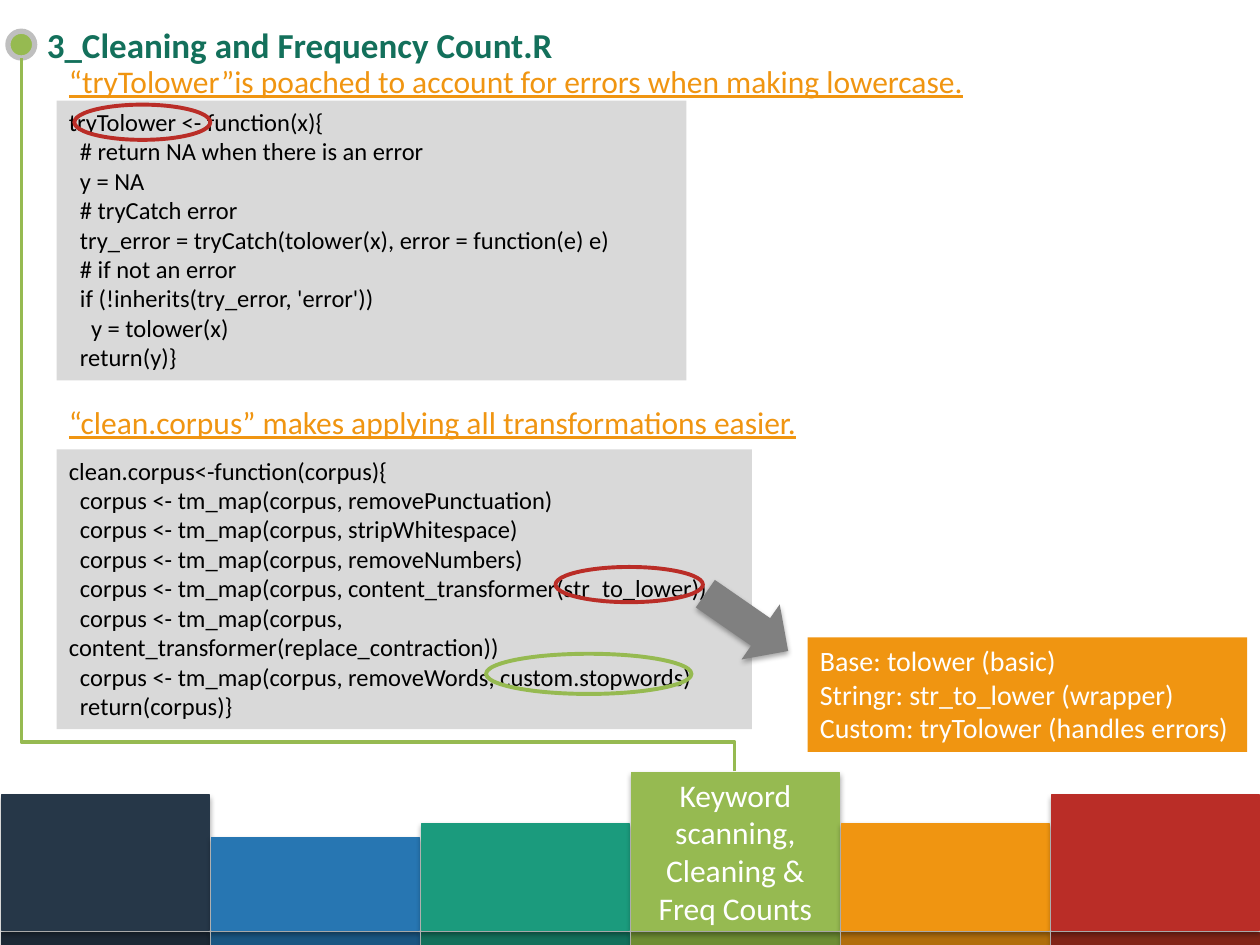
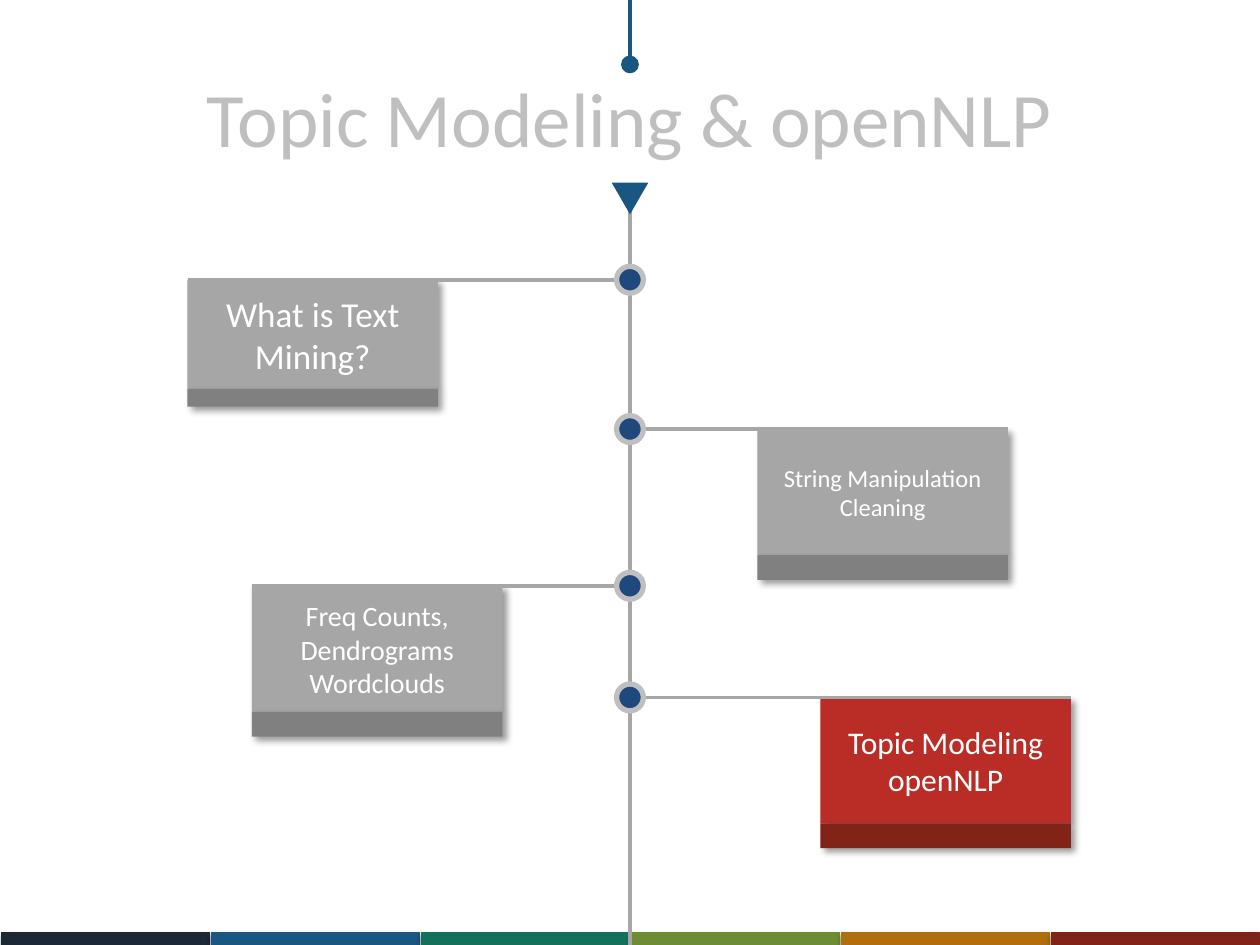
from dataclasses import dataclass

from lxml.etree import SubElement
from pptx import Presentation
from pptx.dml.color import RGBColor
from pptx.enum.shapes import MSO_CONNECTOR, MSO_SHAPE
from pptx.enum.text import MSO_ANCHOR, MSO_AUTO_SIZE, PP_ALIGN
from pptx.oxml.ns import qn
from pptx.util import Cm, Pt


@dataclass(frozen=True)
class Theme:
    font: str = "Calibri"
    white: str = "FFFFFF"
    black: str = "000000"
    code_fill: str = "D9D9D9"
    silver: str = "BFBFBF"
    grey: str = "A6A6A6"
    dark_grey: str = "808080"
    blue: str = "1A5682"
    node: str = "1F497D"
    teal: str = "13705B"
    green: str = "96BA51"
    orange: str = "F09511"
    red: str = "BA2D27"
    dark_red: str = "812417"
    bands: tuple = ("1C2835", "1A5682", "13705B", "6E8D33", "B16E0C", "812417")
    blocks: tuple = ("263748", "2776B2", "1B9B7D", "96BA51", "F09511", "BA2D27")
    code_size: int = 14
    note_size: int = 16
    text_size: int = 18
    heading_size: int = 20
    title_size: int = 44
    line: float = 2
    ring: float = 3
    mark: float = 2.25


THEME = Theme()
SLIDE_WIDTH, SLIDE_HEIGHT = 25.4, 19.05
COLUMN_STEP = SLIDE_WIDTH / 6
COLUMN_WIDTH = 4.19
BAND_TOP = 18.8
CENTRE = SLIDE_WIDTH / 2
# Shadows: opacity in percent, blur and distance in points, angle in degrees
BLOCK_SHADOW = (35, 3.1, 1.8, 90)
CARD_SHADOW = (40, 4, 3, 45)

TRY_TOLOWER = """tryTolower <- function(x){
  # return NA when there is an error
  y = NA
  # tryCatch error
  try_error = tryCatch(tolower(x), error = function(e) e)
  # if not an error
  if (!inherits(try_error, 'error'))
    y = tolower(x)
  return(y)}"""

CLEAN_CORPUS = """clean.corpus<-function(corpus){
  corpus <- tm_map(corpus, removePunctuation)
  corpus <- tm_map(corpus, stripWhitespace)
  corpus <- tm_map(corpus, removeNumbers)
  corpus <- tm_map(corpus, content_transformer(str_to_lower))
  corpus <- tm_map(corpus, content_transformer(replace_contraction))
  corpus <- tm_map(corpus, removeWords, custom.stopwords)
  return(corpus)}"""

LOWERCASE_OPTIONS = """Base: tolower (basic)
Stringr: str_to_lower (wrapper)
Custom: tryTolower (handles errors)"""


def rgb(colour):
    return RGBColor.from_string(colour)


def write(shape, text, size, colour, align=PP_ALIGN.LEFT, anchor=MSO_ANCHOR.MIDDLE,
          wrap=True, bold=False, underline=False):
    text_frame = shape.text_frame
    text_frame.text = text
    text_frame.word_wrap = wrap
    text_frame.vertical_anchor = anchor
    for paragraph in text_frame.paragraphs:
        paragraph.alignment = align
        for run in paragraph.runs:
            run.font.name = THEME.font
            run.font.size = Pt(size)
            run.font.bold = bold
            run.font.underline = underline
            run.font.color.rgb = rgb(colour)


def add_shadow(shape, opacity, blur, distance, angle):
    effects = shape._element.spPr.find(qn("a:effectLst"))
    outer = SubElement(effects, qn("a:outerShdw"), blurRad=str(Pt(blur)),
                       dist=str(Pt(distance)), dir=str(angle * 60000), rotWithShape="0")
    colour = SubElement(outer, qn("a:srgbClr"), val=THEME.black)
    SubElement(colour, qn("a:alpha"), val=str(opacity * 1000))


def add_figure(slide, kind, left, top, width, height, fill=None, line=None,
               line_width=0.75, shadow=None):
    shape = slide.shapes.add_shape(kind, Cm(left), Cm(top), Cm(width), Cm(height))
    if fill:
        shape.fill.solid()
        shape.fill.fore_color.rgb = rgb(fill)
    else:
        shape.fill.background()
    if line:
        shape.line.color.rgb = rgb(line)
        shape.line.width = Pt(line_width)
    else:
        shape.line.fill.background()
    shape.shadow.inherit = False
    if shadow:
        add_shadow(shape, *shadow)
    return shape


def add_line(slide, start, end, colour, kind=MSO_CONNECTOR.STRAIGHT):
    connector = slide.shapes.add_connector(kind, *(Cm(value) for value in start + end))
    connector.line.color.rgb = rgb(colour)
    connector.line.width = Pt(THEME.line)
    SubElement(connector._element.spPr, qn("a:effectLst"))
    return connector


def add_block(slide, column, top, bottom, colour):
    return add_figure(slide, MSO_SHAPE.RECTANGLE, 0.03 + column * COLUMN_STEP, top,
                      COLUMN_WIDTH, bottom - top, colour, colour, shadow=BLOCK_SHADOW)


def add_node(slide, x, y, fill):
    add_figure(slide, MSO_SHAPE.OVAL, x - 0.27, y - 0.27, 0.54, 0.54, fill,
               THEME.silver, THEME.ring)


def add_panel(slide, left, top, width, height, text, size, colour, fill, wrap=True):
    panel = add_figure(slide, MSO_SHAPE.RECTANGLE, left, top, width, height, fill)
    write(panel, text, size, colour, anchor=MSO_ANCHOR.TOP, wrap=wrap)
    panel.text_frame.auto_size = MSO_AUTO_SIZE.SHAPE_TO_FIT_TEXT


def add_caption(slide, left, top, width, text):
    caption = slide.shapes.add_textbox(Cm(left), Cm(top), Cm(width), Cm(1.02))
    write(caption, text, THEME.text_size, THEME.orange, anchor=MSO_ANCHOR.TOP,
          wrap=False, underline=True)
    caption.text_frame.auto_size = MSO_AUTO_SIZE.SHAPE_TO_FIT_TEXT


def add_mark(slide, left, top, width, height, colour):
    add_figure(slide, MSO_SHAPE.OVAL, left, top, width, height,
               line=colour, line_width=THEME.mark)


def add_card(slide, left, top, height, foot, text, size, fill, foot_fill):
    width = 5.05
    body = add_figure(slide, MSO_SHAPE.RECTANGLE, left, top, width, height, fill,
                      shadow=CARD_SHADOW)
    write(body, text, size, THEME.white, PP_ALIGN.CENTER)
    add_figure(slide, MSO_SHAPE.RECTANGLE, left, top + height, width, foot, foot_fill,
               shadow=CARD_SHADOW)
    outer_edge = left if left < CENTRE else left + width
    add_line(slide, (outer_edge, top), (CENTRE, top), THEME.grey)


def add_title_slide(presentation, text, left, top, width, height, size, colour, **style):
    slide = presentation.slides.add_slide(presentation.slide_layouts[5])
    title = slide.shapes.title
    title.left, title.top, title.width, title.height = map(Cm, (left, top, width, height))
    write(title, text, size, colour, **style)
    # Coloured band along the foot
    for column, band in enumerate(THEME.bands):
        add_block(slide, column, BAND_TOP, SLIDE_HEIGHT, band)
    return slide


def build_cleaning(presentation):
    slide = add_title_slide(presentation, "3_Cleaning and Frequency Count.R",
                            0.69, 0.28, 24.03, 1.24, THEME.heading_size, THEME.teal,
                            bold=True)
    # Progress blocks, the current one labelled
    tops = (16.03, 16.89, 16.61, 15.57, 16.61, 16.03)
    blocks = [add_block(slide, column, top, 18.75, colour)
              for column, (top, colour) in enumerate(zip(tops, THEME.blocks))]
    write(blocks[3], "Keyword scanning, Cleaning & Freq Counts", THEME.text_size,
          THEME.white, PP_ALIGN.CENTER)

    # Elbow from the current block up to the title: a square turned by 270 degrees
    add_node(slide, 0.43, 0.9, THEME.green)
    left, top, side = 0.43, 1.17, 14.38
    elbow = add_line(slide, (left, top + side), (left + side, top), THEME.green,
                     MSO_CONNECTOR.ELBOW)
    properties = elbow._element.spPr
    properties.find(qn("a:xfrm")).set("rot", str(270 * 60000))
    adjustments = properties.find(qn("a:prstGeom")).find(qn("a:avLst"))
    SubElement(adjustments, qn("a:gd"), name="adj1", fmla="val 4100")

    # Code listings with captions
    add_panel(slide, 1.14, 2.03, 12.7, 5.64, TRY_TOLOWER, THEME.code_size,
              THEME.black, THEME.code_fill)
    add_caption(slide, 1.14, 1.12, 20.12,
                "“tryTolower”is poached to account for errors when making lowercase.")
    add_caption(slide, 1.14, 8, 16.61,
                "“clean.corpus” makes applying all transformations easier.")
    add_panel(slide, 1.14, 9.06, 14.02, 5.64, CLEAN_CORPUS, THEME.code_size,
              THEME.black, THEME.code_fill)

    # Highlights and the note they lead to
    add_mark(slide, 1.5, 2.11, 2.74, 0.71, THEME.red)
    add_mark(slide, 11.2, 11.43, 2.97, 0.71, THEME.red)
    add_panel(slide, 16.28, 12.85, 8.86, 2.31, LOWERCASE_OPTIONS, THEME.note_size,
              THEME.white, THEME.orange, wrap=False)
    arrow = add_figure(slide, MSO_SHAPE.DOWN_ARROW, 14.38, 11.53, 1.35, 2.03,
                       THEME.dark_grey, shadow=BLOCK_SHADOW)
    arrow.rotation = 304.7
    add_mark(slide, 9.8, 13.18, 4.14, 0.81, THEME.green)


def build_agenda(presentation):
    slide = add_title_slide(presentation, "Topic Modeling & openNLP",
                            1.27, 0.76, 22.86, 3.18, THEME.title_size, THEME.silver,
                            align=PP_ALIGN.CENTER)
    # Cards: left, top, body height, foot height, text, size, colours
    greys = (THEME.grey, THEME.dark_grey)
    reds = (THEME.red, THEME.dark_red)
    cards = (
        (3.78, 5.64, 2.2, 0.36, "What is Text Mining?", THEME.heading_size, *greys),
        (15.27, 8.65, 2.54, 0.5, "String Manipulation\nCleaning", THEME.code_size, *greys),
        (5.08, 11.81, 2.54, 0.5, "Freq Counts, Dendrograms\nWordclouds",
         THEME.note_size, *greys),
        (16.54, 14.06, 2.54, 0.5, "Topic Modeling\nopenNLP", THEME.text_size, *reds),
    )
    for card in cards:
        add_card(slide, *card)

    # Timeline with its head and nodes
    add_line(slide, (CENTRE, SLIDE_HEIGHT), (CENTRE, 3.81), THEME.grey)
    add_line(slide, (CENTRE, 0), (CENTRE, 1.27), THEME.blue)
    add_figure(slide, MSO_SHAPE.OVAL, CENTRE - 0.18, 1.12, 0.36, 0.36, THEME.blue)
    pointer = add_figure(slide, MSO_SHAPE.ISOSCELES_TRIANGLE, CENTRE - 0.37, 3.68,
                         0.74, 0.64, THEME.blue)
    pointer.rotation = 180
    for card in cards:
        add_node(slide, CENTRE, card[1], THEME.node)


def main():
    presentation = Presentation()
    presentation.slide_width = Cm(SLIDE_WIDTH)
    presentation.slide_height = Cm(SLIDE_HEIGHT)
    build_cleaning(presentation)
    build_agenda(presentation)
    presentation.save("out.pptx")


if __name__ == "__main__":
    main()
